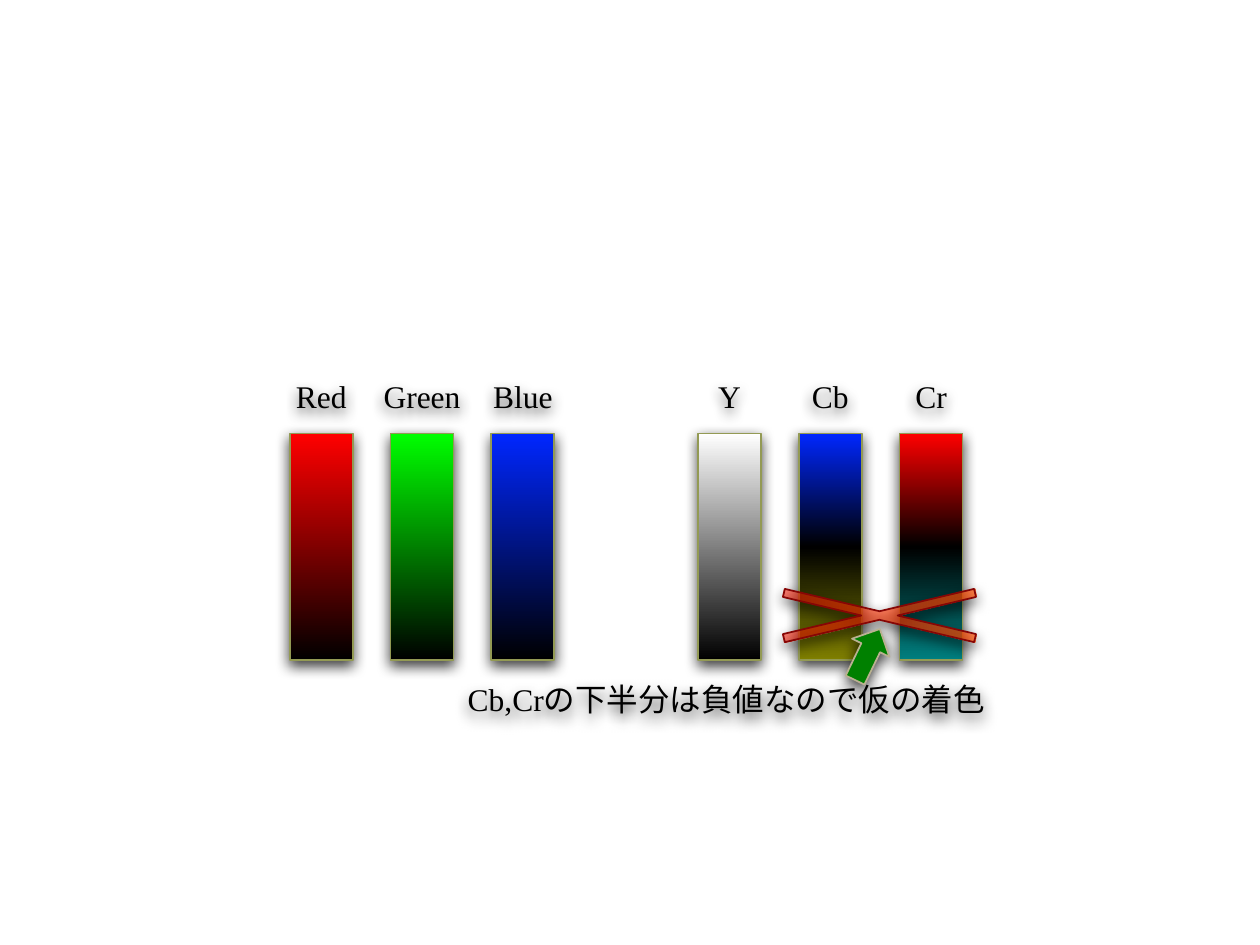
"""Build a slide comparing the RGB channels with the YCbCr channels."""
from dataclasses import dataclass

from lxml.etree import SubElement
from pptx import Presentation
from pptx.dml.color import RGBColor
from pptx.enum.shapes import MSO_SHAPE
from pptx.enum.text import MSO_ANCHOR, PP_ALIGN
from pptx.oxml.ns import qn
from pptx.util import Inches, Pt

COLORS = {
    "black": "000000", "white": "FFFFFF", "red": "FF0000", "green": "00FF00",
    "blue": "0027FF", "teal": "007F7F", "olive": "7F7F00", "orange": "FF6600",
    "bar_edge": "939A54", "cross_edge": "860605",
    "arrow": "008000", "arrow_edge": "BAB191",
}
BAR_WIDTH, BAR_PITCH = 0.5, 0.8
LABEL_TOP, BAR_TOP, BAR_HEIGHT, TEXT_HEIGHT = 2.92, 3.44, 1.8, 0.44


@dataclass
class Stop:
    position: int
    color: str
    opacity: int = 100


@dataclass
class Channel:
    label: str
    colors: tuple[str, ...]


@dataclass
class ChannelGroup:
    left: float
    channels: tuple[Channel, ...]


GROUPS = (
    ChannelGroup(2.3, (
        Channel("Red", ("black", "red")),
        Channel("Green", ("black", "green")),
        Channel("Blue", ("black", "blue")),
    )),
    ChannelGroup(5.54, (
        Channel("Y", ("black", "white")),
        Channel("Cb", ("olive", "black", "blue")),
        Channel("Cr", ("teal", "black", "red")),
    )),
)


def add_color(parent, color: str, opacity: int) -> None:
    node = SubElement(parent, qn("a:srgbClr"), val=COLORS[color])
    if opacity < 100:
        SubElement(node, qn("a:alpha"), val=str(opacity * 1000))


def add_shadowed(slide, preset: MSO_SHAPE, left: float, top: float,
                 width: float, height: float):
    shape = slide.shapes.add_shape(preset, Inches(left), Inches(top),
                                   Inches(width), Inches(height))
    shape.shadow.inherit = False
    effects = shape._element.spPr.find(qn("a:effectLst"))
    shadow = SubElement(effects, qn("a:outerShdw"), blurRad=str(Pt(8)),
                        dist=str(Pt(3)), dir="5400000", rotWithShape="0")
    add_color(shadow, "black", 75)
    return shape


def add_outlined(slide, preset: MSO_SHAPE, left: float, top: float,
                 width: float, height: float, edge: str):
    shape = add_shadowed(slide, preset, left, top, width, height)
    shape.line.color.rgb = RGBColor.from_string(COLORS[edge])
    shape.line.width = Pt(1)
    return shape


def fill_gradient(shape, stops: list[Stop], angle: int) -> None:
    shape.fill.gradient()
    gradient = shape._element.spPr.find(qn("a:gradFill"))
    for child in list(gradient):
        gradient.remove(child)
    stop_list = SubElement(gradient, qn("a:gsLst"))
    for stop in stops:
        node = SubElement(stop_list, qn("a:gs"), pos=str(stop.position * 1000))
        add_color(node, stop.color, stop.opacity)
    SubElement(gradient, qn("a:lin"), ang=str(angle * 60000), scaled="0")


def add_text(slide, text: str, left: float, top: float, width: float) -> None:
    label = add_shadowed(slide, MSO_SHAPE.RECTANGLE, left, top, width, TEXT_HEIGHT)
    label.fill.background()
    label.line.fill.background()
    frame = label.text_frame
    frame.word_wrap = False
    frame.vertical_anchor = MSO_ANCHOR.MIDDLE
    frame.text = text
    paragraph = frame.paragraphs[0]
    paragraph.alignment = PP_ALIGN.CENTER
    font = paragraph.runs[0].font
    font.name = "Times New Roman"
    font.size = Pt(18)
    font.color.rgb = RGBColor.from_string(COLORS["black"])


def add_channel(slide, channel: Channel, left: float) -> None:
    add_text(slide, channel.label, left, LABEL_TOP, BAR_WIDTH)
    bar = add_outlined(slide, MSO_SHAPE.RECTANGLE, left, BAR_TOP,
                       BAR_WIDTH, BAR_HEIGHT, "bar_edge")
    step = 100 // (len(channel.colors) - 1)
    stops = [Stop(i * step, color) for i, color in enumerate(channel.colors)]
    fill_gradient(bar, stops, 270)


def main() -> None:
    presentation = Presentation()
    presentation.slide_width = Inches(10)
    presentation.slide_height = Inches(7.5)
    slide = presentation.slides.add_slide(presentation.slide_layouts[6])

    for group in GROUPS:
        for index, channel in enumerate(group.channels):
            add_channel(slide, channel, group.left + index * BAR_PITCH)

    cross = add_outlined(slide, MSO_SHAPE.MATH_MULTIPLY, 5.52, 4.54, 2.92, 0.69,
                         "cross_edge")
    cross.adjustments[0] = 0.096
    fill_gradient(cross, [Stop(0, "red", 53), Stop(100, "orange", 70)], 0)

    add_text(slide, "Cb,Crの下半分は負値なので仮の着色", 3.7, 5.33, 4.13)

    pointer = add_outlined(slide, MSO_SHAPE.UP_ARROW, 6.72, 4.97, 0.33, 0.45,
                           "arrow_edge")
    pointer.fill.solid()
    pointer.fill.fore_color.rgb = RGBColor.from_string(COLORS["arrow"])
    pointer.rotation = 25.8

    presentation.save("out.pptx")


main()
